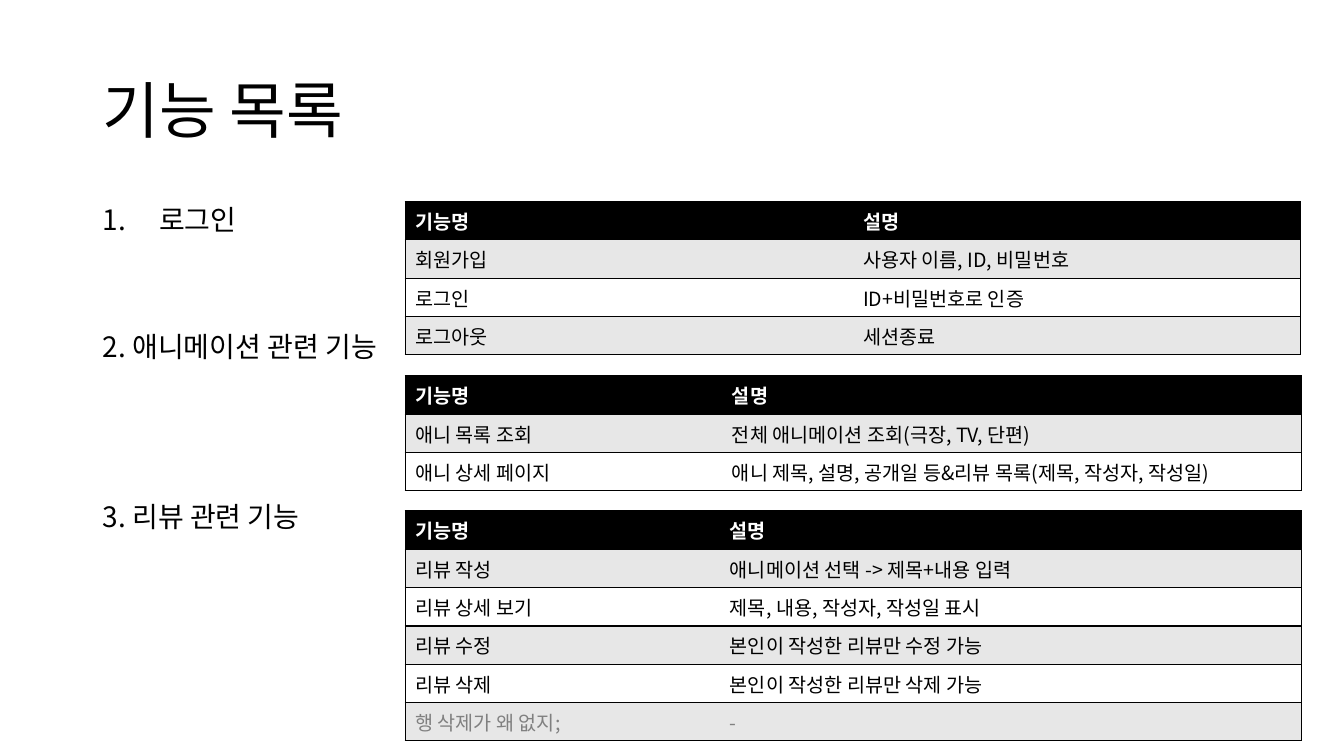
from lxml import etree
from pptx import Presentation
from pptx.dml.color import RGBColor
from pptx.enum.text import MSO_ANCHOR
from pptx.oxml.ns import qn
from pptx.util import Inches, Pt

MIDDLE, TOP = MSO_ANCHOR.MIDDLE, MSO_ANCHOR.TOP

TITLE = "기능 목록"
HEADER = ("기능명", "설명")
SECTIONS = [
    {
        "heading": "로그인", "numbered": True, "space_before": 0,
        "top": 2, "columns": (4.44, 4.44),
        "features": [
            ("회원가입", "사용자 이름, ID, 비밀번호"),
            ("로그인", "ID+비밀번호로 인증"),
            ("로그아웃", "세션종료"),
        ],
    },
    {
        "heading": "2. 애니메이션 관련 기능", "numbered": False, "space_before": 69,
        "top": 3.73, "columns": (3.14, 5.75),
        "features": [
            ("애니 목록 조회", "전체 애니메이션 조회(극장, TV, 단편)"),
            ("애니 상세 페이지", "애니 제목, 설명, 공개일 등&리뷰 목록(제목, 작성자, 작성일)"),
        ],
    },
    {
        "heading": "3. 리뷰 관련 기능", "numbered": False, "space_before": 100,
        "top": 5.07, "columns": (3.12, 5.77),
        "features": [
            ("리뷰 작성", "애니메이션 선택 -> 제목+내용 입력"),
            ("리뷰 상세 보기", "제목, 내용, 작성자, 작성일 표시"),
            ("리뷰 수정", "본인이 작성한 리뷰만 수정 가능"),
            ("리뷰 삭제", "본인이 작성한 리뷰만 삭제 가능"),
            ("행 삭제가 왜 없지;", "-"),
        ],
    },
]
MUTED_FEATURE = "행 삭제가 왜 없지;"

THEME = {
    "font": "Noto Sans CJK KR",
    "title_size": 44, "heading_size": 20, "table_size": 14,
    "black": "000000", "white": "FFFFFF", "band": "E7E7E7", "muted": "808080",
}
TABLE_LEFT, ROW_HEIGHT = 4.02, 0.38
NUMBER_INDENT = 0.56


def write(paragraph, text, size, color=THEME["black"], bold=False,
          line_spacing=None, space_before=0):
    run = paragraph.add_run()
    run.text = text
    run.font.size = Pt(size)
    run.font.bold = bold
    run.font.color.rgb = RGBColor.from_string(color)
    run.font.name = THEME["font"]
    etree.SubElement(run.font._element, qn("a:ea"), typeface=THEME["font"])
    paragraph.space_before = Pt(space_before)
    if line_spacing:
        paragraph.line_spacing = line_spacing


def add_frame(slide, left, top, width, height, anchor):
    box = slide.shapes.add_textbox(Inches(left), Inches(top), Inches(width), Inches(height))
    box.text_frame.word_wrap = True
    box.text_frame.vertical_anchor = anchor
    return box.text_frame


def number(paragraph):
    properties = paragraph._p.get_or_add_pPr()
    properties.set("marL", str(Inches(NUMBER_INDENT)))
    properties.set("indent", str(-Inches(NUMBER_INDENT)))
    etree.SubElement(properties, qn("a:buFont"), typeface=THEME["font"])
    etree.SubElement(properties, qn("a:buAutoNum"), type="arabicPeriod")


def set_borders(cell, inner_edge):
    properties = cell._tc.get_or_add_tcPr()
    for position, edge in enumerate(("lnL", "lnR", "lnT", "lnB")):
        line = etree.Element(qn("a:" + edge), w=str(Pt(1)))
        if edge == inner_edge:
            etree.SubElement(line, qn("a:noFill"))
        else:
            fill = etree.SubElement(line, qn("a:solidFill"))
            etree.SubElement(fill, qn("a:srgbClr"), val=THEME["black"])
        properties.insert(position, line)


def row_colors(row_index, feature):
    if row_index == 0:
        return THEME["black"], THEME["white"]
    fill = THEME["band"] if row_index % 2 else THEME["white"]
    return fill, THEME["muted"] if feature == MUTED_FEATURE else THEME["black"]


def add_feature_table(slide, section):
    rows = [HEADER, *section["features"]]
    widths = section["columns"]
    table = slide.shapes.add_table(
        len(rows), len(widths), Inches(TABLE_LEFT), Inches(section["top"]),
        Inches(sum(widths)), Inches(ROW_HEIGHT * len(rows))).table
    for column, width in zip(table.columns, widths):
        column.width = Inches(width)
    for row_index, row in enumerate(rows):
        table.rows[row_index].height = Inches(ROW_HEIGHT)
        fill, color = row_colors(row_index, row[0])
        for column_index, text in enumerate(row):
            cell = table.cell(row_index, column_index)
            cell.fill.solid()
            cell.fill.fore_color.rgb = RGBColor.from_string(fill)
            set_borders(cell, "lnL" if column_index else "lnR")
            write(cell.text_frame.paragraphs[0], text, THEME["table_size"],
                  color=color, bold=row_index == 0)


def main():
    deck = Presentation()
    deck.slide_width, deck.slide_height = Inches(13.33), Inches(7.5)
    slide = deck.slides.add_slide(deck.slide_layouts[6])

    title = add_frame(slide, 0.92, 0.4, 11.5, 1.45, MIDDLE)
    write(title.paragraphs[0], TITLE, THEME["title_size"], line_spacing=0.9)

    headings = add_frame(slide, 0.92, 2, 11.5, 4.76, TOP)
    for index, section in enumerate(SECTIONS):
        heading = headings.add_paragraph() if index else headings.paragraphs[0]
        write(heading, section["heading"], THEME["heading_size"],
              line_spacing=0.9, space_before=section["space_before"])
        if section["numbered"]:
            number(heading)
        add_feature_table(slide, section)

    deck.save("out.pptx")


if __name__ == "__main__":
    main()
